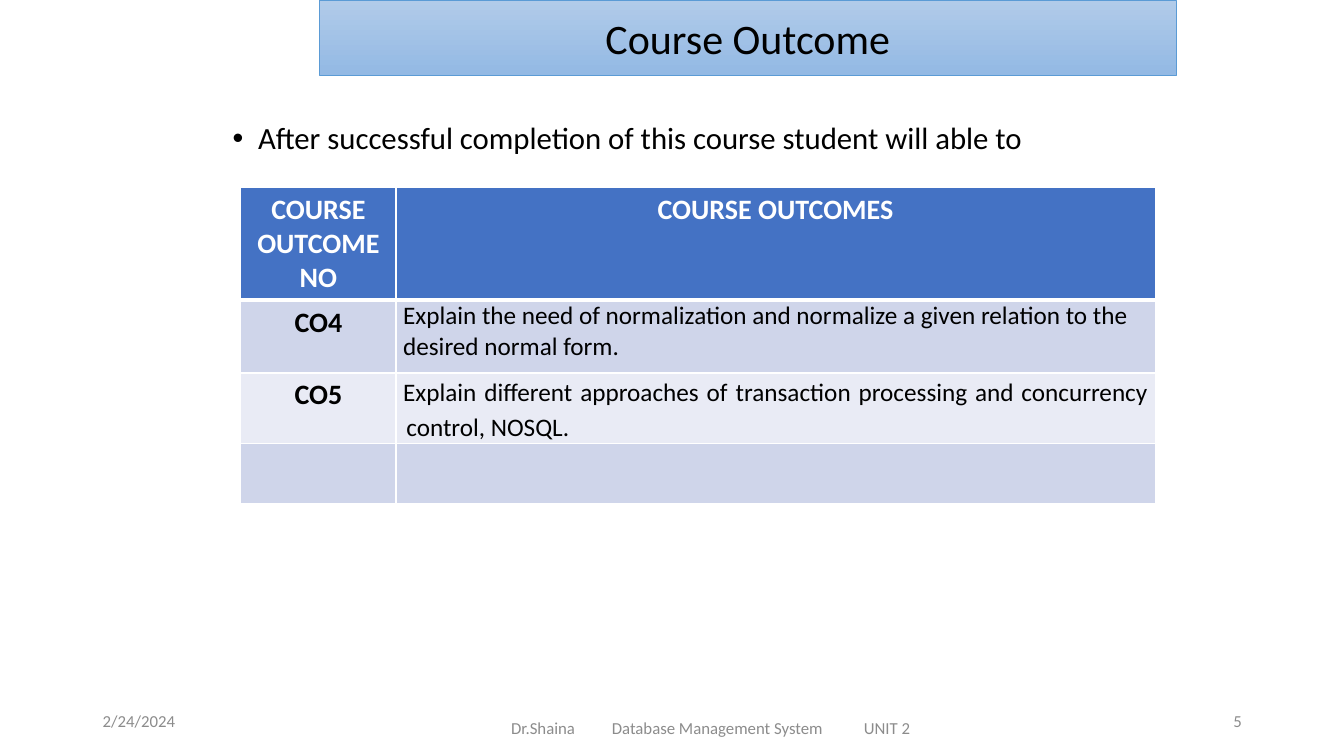
"""Build the Course Outcome slide with its outcome table and footer."""
from lxml import etree
from pptx import Presentation
from pptx.dml.color import RGBColor
from pptx.enum import text
from pptx.oxml import ns
from pptx.util import Cm, Pt

TITLE = "Course Outcome"
INTRO = "After successful completion of this course student will able to"
HEADERS = ("COURSE OUTCOME NO", "COURSE OUTCOMES")
OUTCOMES = [
    ("CO4", "Explain the need of normalization and normalize a given relation "
            "to the desired normal form."),
    ("CO5", "Explain different approaches of transaction processing and "
            "concurrency control, NOSQL."),
    ("", ""),
]
COLUMN_WIDTHS = (3.91, 19.13)
ROW_HEIGHTS = (2.24, 1.83, 1.35, 1.5)
HEADER_FILL = "4472C4"
BAND_FILLS = ("CFD5EA", "E9EBF5")
LEFT, CENTER, RIGHT, JUSTIFY = (
    text.PP_ALIGN.LEFT, text.PP_ALIGN.CENTER, text.PP_ALIGN.RIGHT, text.PP_ALIGN.JUSTIFY)
FOOTERS = [
    ("2/24/2024", (2.34, 17.65, 7.62, 1.02), LEFT, 0.25, ()),
    ("5", (23.93, 17.65, 7.62, 1.02), RIGHT, 0.25, ()),
    ("Dr.Shaina\tDatabase Management System\tUNIT 2",
     (10.59, 17.83, 13.97, 1.02), LEFT, 2.29, (2, 8.18)),
]


def rgb(value):
    return RGBColor.from_string(value)


def place(item, left, top, width, height):
    item.left, item.top, item.width, item.height = map(Cm, (left, top, width, height))


def write(frame, words, size=18, color="000000", bold=False, align=LEFT,
          margin=0, indent=0, spacing=None, bullet=None, tabs=()):
    paragraph = frame.paragraphs[0]
    properties = paragraph._p.get_or_add_pPr()
    properties.set("marL", str(Cm(margin)))
    properties.set("indent", str(Cm(indent)))
    if bullet:
        etree.SubElement(properties, ns.qn("a:buFont"), typeface="Arial")
        etree.SubElement(properties, ns.qn("a:buChar"), char=bullet)
    if tabs:
        stops = etree.SubElement(properties, ns.qn("a:tabLst"))
        for stop in tabs:
            etree.SubElement(stops, ns.qn("a:tab"), pos=str(Cm(stop)), algn="l")
    paragraph.alignment = align
    paragraph.space_before = Pt(0)
    if spacing:
        paragraph.line_spacing = spacing
    run = paragraph.add_run()
    run.text = words
    run.font.name, run.font.size, run.font.bold = "Calibri", Pt(size), bold
    run.font.color.rgb = rgb(color)


def style_cell(cell, fill, bottom=1):
    properties = cell._tc.get_or_add_tcPr()
    for side, width in (("L", 1), ("R", 1), ("T", 1), ("B", bottom)):
        border = etree.SubElement(properties, ns.qn(f"a:ln{side}"), w=str(Pt(width)))
        solid = etree.SubElement(border, ns.qn("a:solidFill"))
        etree.SubElement(solid, ns.qn("a:srgbClr"), val="FFFFFF")
    cell.fill.solid()
    cell.fill.fore_color.rgb = rgb(fill)


def add_title(title):
    place(title, 8.05, 0, 21.59, 1.9)
    title.fill.gradient()
    title.fill.gradient_angle = 270
    for stop, color in zip(title.fill.gradient_stops, ("B1CBE9", "93B9E4")):
        stop.color.rgb = rgb(color)
    title.line.color.rgb = rgb("5B9BD5")
    title.line.width = Pt(0.5)
    title.text_frame.auto_size = text.MSO_AUTO_SIZE.NONE
    title.text_frame.vertical_anchor = text.MSO_ANCHOR.MIDDLE
    write(title.text_frame, TITLE, size=30, align=CENTER)


def add_intro(intro):
    place(intro, 5.61, 2.97, 22.86, 1.19)
    intro.text_frame.auto_size = text.MSO_AUTO_SIZE.NONE
    write(intro.text_frame, INTRO, size=22, align=JUSTIFY, margin=0.64,
          indent=-0.64, spacing=0.9, bullet="•")


def add_outcomes(slide):
    table = slide.shapes.add_table(
        len(ROW_HEIGHTS), len(COLUMN_WIDTHS), Cm(6.07), Cm(4.72),
        Cm(sum(COLUMN_WIDTHS)), Cm(sum(ROW_HEIGHTS))).table
    for column, width in zip(table.columns, COLUMN_WIDTHS):
        column.width = Cm(width)
    for row, height in zip(table.rows, ROW_HEIGHTS):
        row.height = Cm(height)
    for column, header in enumerate(HEADERS):
        cell = table.cell(0, column)
        style_cell(cell, HEADER_FILL, bottom=3)
        write(cell.text_frame, header, size=20, color="FFFFFF", bold=True, align=CENTER)
    description_formats = ({}, dict(align=JUSTIFY, margin=0.08, indent=-0.08, spacing=1.15))
    for index, (number, description) in enumerate(OUTCOMES):
        number_cell, description_cell = table.rows[index + 1].cells
        for cell in (number_cell, description_cell):
            style_cell(cell, BAND_FILLS[index % 2])
        if number:
            write(number_cell.text_frame, number, size=20, bold=True, align=CENTER)
            description_cell.margin_left = description_cell.margin_right = Cm(0.18)
            description_cell.margin_top = description_cell.margin_bottom = 0
            write(description_cell.text_frame, description, **description_formats[index])


def add_footers(slide):
    for words, box, align, inset, tabs in FOOTERS:
        frame = slide.shapes.add_textbox(*map(Cm, box)).text_frame
        frame.word_wrap = True
        frame.vertical_anchor = text.MSO_ANCHOR.MIDDLE
        frame.margin_left = Cm(inset)
        write(frame, words, size=12, color="8C8C8C", align=align, tabs=tabs)


def main():
    deck = Presentation()
    deck.slide_width, deck.slide_height = Cm(33.87), Cm(19.05)
    slide = deck.slides.add_slide(deck.slide_layouts[1])
    add_title(slide.shapes.title)
    add_intro(slide.placeholders[1])
    add_outcomes(slide)
    add_footers(slide)
    deck.save("out.pptx")


if __name__ == "__main__":
    main()
